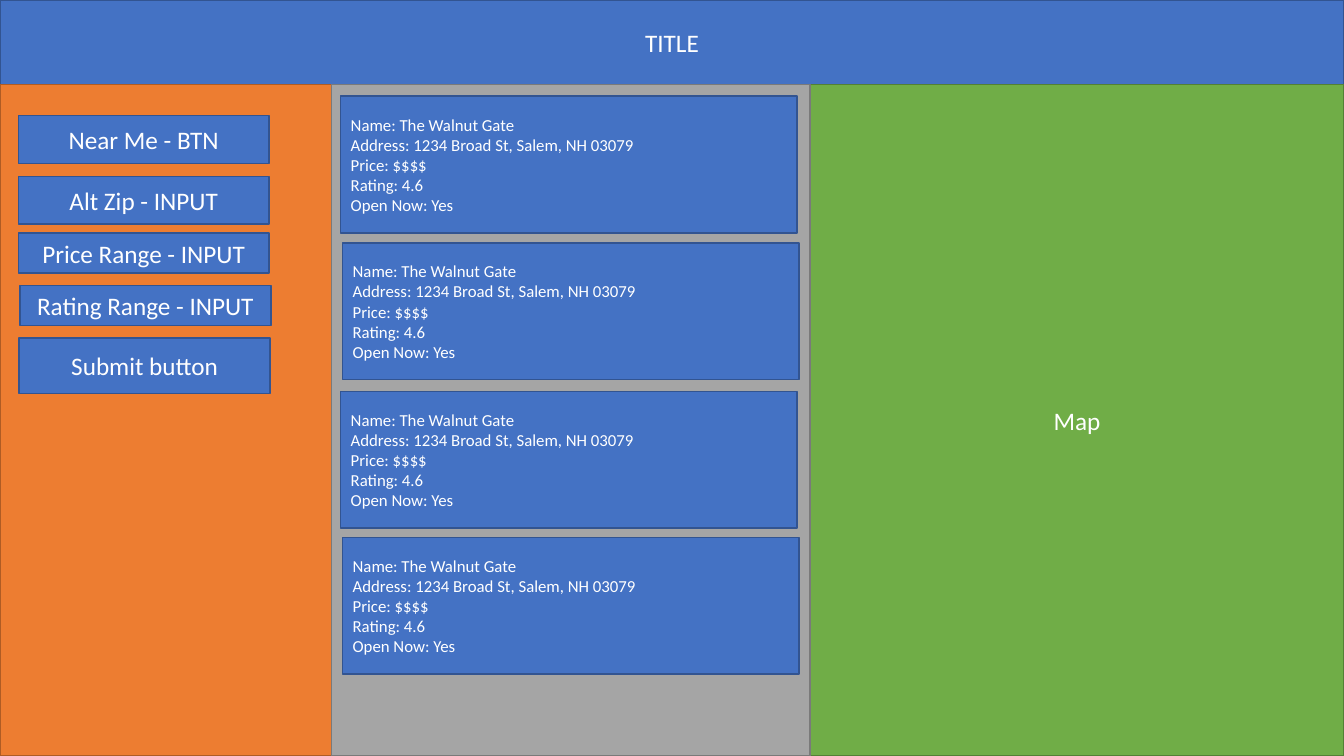
from pptx import Presentation
from pptx.dml.color import RGBColor
from pptx.enum.shapes import MSO_SHAPE
from pptx.enum.text import MSO_ANCHOR, PP_ALIGN
from pptx.util import Pt

BLUE, BLUE_EDGE = RGBColor(0x44, 0x72, 0xC4), RGBColor(0x32, 0x54, 0x91)
ORANGE, ORANGE_EDGE = RGBColor(0xED, 0x7D, 0x31), RGBColor(0xAF, 0x5C, 0x24)
GREEN, GREEN_EDGE = RGBColor(0x70, 0xAD, 0x47), RGBColor(0x53, 0x80, 0x35)
GRAY, GRAY_EDGE = RGBColor(0xA5, 0xA5, 0xA5), RGBColor(0x7A, 0x7A, 0x7A)
WHITE = RGBColor(0xFF, 0xFF, 0xFF)

PAGE_W, PAGE_H = 960, 540
HEADER_H = 60.5
RESULTS_X, MAP_X = 237, 578.7

prs = Presentation()
prs.slide_width, prs.slide_height = Pt(PAGE_W), Pt(PAGE_H)
slide = prs.slides.add_slide(prs.slide_layouts[6])


def add_box(x, y, w, h, lines=(), fill=BLUE, edge=BLUE_EDGE,
            size=18, align=PP_ALIGN.CENTER):
    box = slide.shapes.add_shape(MSO_SHAPE.RECTANGLE, Pt(x), Pt(y), Pt(w), Pt(h))
    box.shadow.inherit = False
    box.fill.solid()
    box.fill.fore_color.rgb = fill
    box.line.color.rgb = edge
    box.line.width = Pt(1)
    frame = box.text_frame
    frame.word_wrap = True
    frame.vertical_anchor = MSO_ANCHOR.MIDDLE
    for i, line in enumerate(lines):
        para = frame.add_paragraph() if i else frame.paragraphs[0]
        para.text = line
        para.alignment = align
        para.font.name = "Calibri"
        para.font.size = Pt(size)
        para.font.color.rgb = WHITE


# Header and the three page columns
body_h = PAGE_H - HEADER_H
add_box(0, 0, PAGE_W, HEADER_H, ["TITLE"])
add_box(0, HEADER_H, RESULTS_X, body_h, fill=ORANGE, edge=ORANGE_EDGE)
add_box(MAP_X, HEADER_H, PAGE_W - MAP_X, body_h, ["Map"], GREEN, GREEN_EDGE)
add_box(RESULTS_X, HEADER_H, MAP_X - RESULTS_X, body_h, fill=GRAY, edge=GRAY_EDGE)

# Search controls: label, left, top, height
controls = [
    ("Near Me - BTN", 13, 82.7, 34),
    ("Alt Zip - INPUT", 13, 126, 34),
    ("Price Range - INPUT", 13, 166.5, 28.5),
    ("Rating Range - INPUT", 14.2, 204, 28.5),
    ("Submit button", 13.7, 241.3, 40),
]
for label, left, top, height in controls:
    add_box(left, top, 179.3, height, [label])

# Result cards
restaurant = [
    "Name: The Walnut Gate",
    "Address: 1234 Broad St, Salem, NH 03079",
    "Price: $$$$",
    "Rating: 4.6",
    "Open Now: Yes",
]
for left, top in [(243.4, 68.7), (244.8, 173.5), (243.4, 279.5), (244.8, 383.8)]:
    add_box(left, top, 326, 97.8, restaurant, size=12, align=PP_ALIGN.LEFT)

prs.save("out.pptx")
